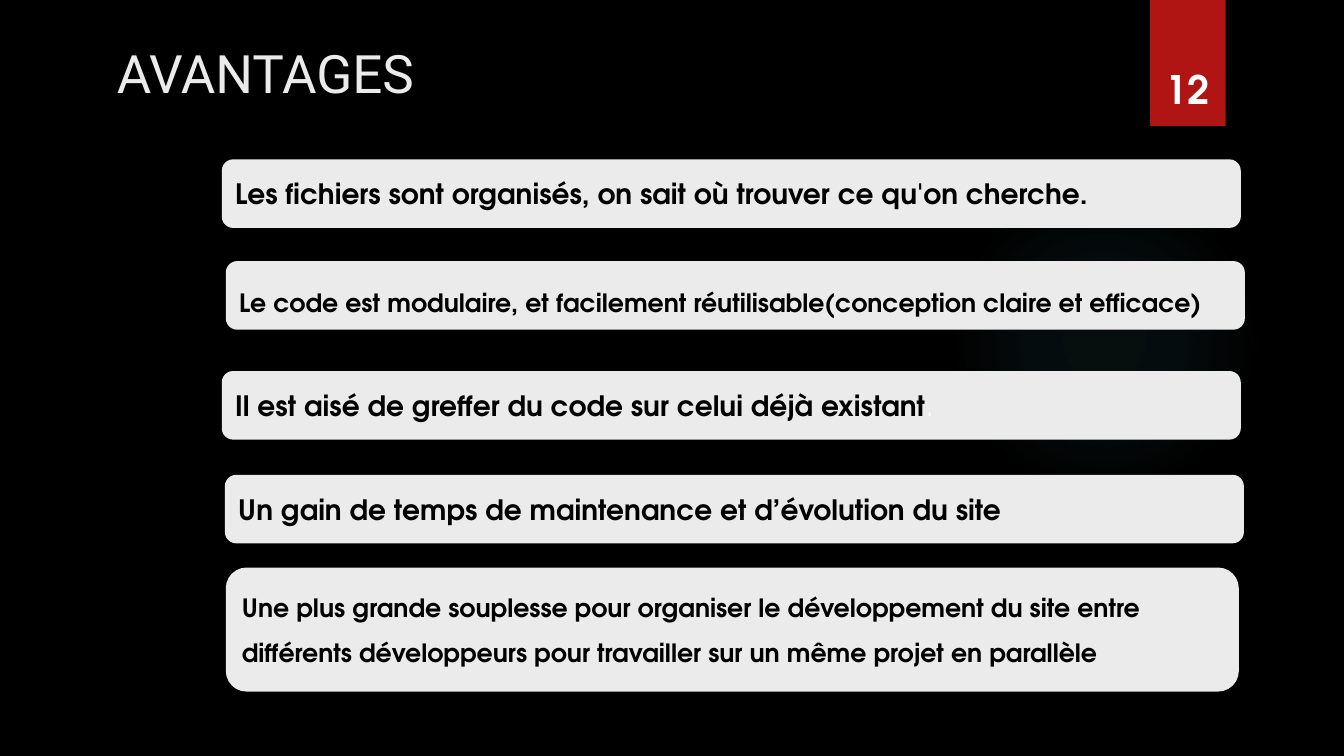
"""Build the slide that lists the advantages of organised code."""
from dataclasses import dataclass

from lxml import etree
from pptx import Presentation
from pptx.dml.color import RGBColor
from pptx.enum.shapes import MSO_SHAPE
from pptx.enum.text import MSO_ANCHOR, MSO_AUTO_SIZE, PP_ALIGN
from pptx.oxml.ns import nsdecls
from pptx.shapes.autoshape import Shape
from pptx.slide import Slide
from pptx.text.text import TextFrame
from pptx.util import Pt

RECT, ROUND, OVAL = MSO_SHAPE.RECTANGLE, MSO_SHAPE.ROUNDED_RECTANGLE, MSO_SHAPE.OVAL
TOP, MIDDLE, BOTTOM = MSO_ANCHOR.TOP, MSO_ANCHOR.MIDDLE, MSO_ANCHOR.BOTTOM
LEFT, CENTER = PP_ALIGN.LEFT, PP_ALIGN.CENTER
FIXED = MSO_AUTO_SIZE.NONE


@dataclass(frozen=True)
class Theme:
    """Colours, fonts and type sizes."""
    back: str = "000000"
    card: str = "EBEBEB"
    ink: str = "000000"
    white: str = "FFFFFF"
    red: str = "B01513"
    glow: str = "50B9C1"
    head: str = "Roboto"
    body: str = "TeX Gyre Adventor"
    title: float = 37.8
    number: float = 28
    large: float = 20
    small: float = 18


THEME = Theme()


@dataclass(frozen=True)
class Area:
    """A frame in points."""
    left: float
    top: float
    width: float
    height: float


@dataclass(frozen=True)
class Run:
    """A piece of text with its format."""
    text: str
    size: float
    color: str = THEME.ink
    bold: bool = True
    face: str = THEME.body


@dataclass(frozen=True)
class Card:
    """A rounded box with lines of text."""
    area: Area
    lines: tuple[tuple[Run, ...], ...]
    drop: float = 0


WIDE, LOW = 727.9, 49
LEAD = 10.7
CARDS = (
    Card(Area(158.4, 113.8, WIDE, LOW), (
        (Run("Les fichiers sont organisés, on sait où trouver ce qu'on cherche.",
             THEME.large),),)),
    Card(Area(161.3, 186.5, WIDE, LOW), (
        (Run("Le code est modulaire, et facilement réutilisable"
             "(conception claire et efficace)", THEME.small),),), LEAD),
    Card(Area(158.4, 265, WIDE, LOW), (
        (Run("Il est aisé de greffer du code sur celui déjà existant", THEME.large),
         Run(".", THEME.large, THEME.white, False)),)),
    Card(Area(160.6, 339.1, WIDE, LOW), (
        (Run("Un gain de temps de maintenance et d’évolution du site",
             THEME.large),),)),
    Card(Area(161.3, 405.4, 723.6, 88.6), (
        (Run("Une plus grande souplesse pour organiser le développement du site entre",
             THEME.small),),
        (Run("différents développeurs pour travailler sur un même projet en parallèle",
             THEME.small),))),
)


def apply(item: object, values: dict[str, object]) -> None:
    """Set each named attribute of an item."""
    for name, value in values.items():
        setattr(item, name, value)


def place(area: Area) -> tuple[Pt, Pt, Pt, Pt]:
    """Turn an area into slide lengths."""
    return Pt(area.left), Pt(area.top), Pt(area.width), Pt(area.height)


def draw(slide: Slide, kind: MSO_SHAPE, area: Area, color: str) -> Shape:
    """Add a plain filled shape."""
    shape = slide.shapes.add_shape(kind, *place(area))
    shape.shadow.inherit = False
    shape.fill.solid()
    shape.fill.fore_color.rgb = RGBColor.from_string(color)
    shape.line.fill.background()
    return shape


def write(frame: TextFrame, lines: tuple[tuple[Run, ...], ...], anchor: MSO_ANCHOR,
          align: PP_ALIGN = LEFT, drop: float = 0) -> None:
    """Fill a text frame with formatted lines."""
    apply(frame, {"word_wrap": True, "auto_size": FIXED, "vertical_anchor": anchor,
                  "margin_left": Pt(7.2), "margin_right": Pt(7.2),
                  "margin_top": Pt(3.6 + drop), "margin_bottom": Pt(3.6)})
    for index, line in enumerate(lines):
        para = frame.add_paragraph() if index else frame.paragraphs[0]
        apply(para, {"alignment": align, "line_spacing": 1.0})
        if index:
            para.space_before = Pt(LEAD)
        for part in line:
            run = para.add_run()
            run.text = part.text
            apply(run.font, {"name": part.face, "size": Pt(part.size),
                             "bold": part.bold})
            run.font.color.rgb = RGBColor.from_string(part.color)


def shine(slide: Slide, area: Area) -> None:
    """Add the faint round glow."""
    shape = draw(slide, OVAL, area, THEME.glow)
    stops = "".join(
        f'<a:gs pos="{pos * 1000}"><a:srgbClr val="{THEME.glow}">'
        f'<a:alpha val="{alpha * 1000}"/></a:srgbClr></a:gs>'
        for pos, alpha in ((0, 7), (36, 6), (69, 0)))
    fill = etree.fromstring(
        f'<a:gradFill {nsdecls("a")} rotWithShape="1"><a:gsLst>{stops}</a:gsLst>'
        '<a:path path="circle"><a:fillToRect l="50000" t="50000" r="50000" '
        'b="50000"/></a:path></a:gradFill>')
    props = shape.element.spPr
    props.replace(props.find("{*}solidFill"), fill)


def main() -> None:
    """Create and save the slide."""
    deck = Presentation()
    apply(deck, {"slide_width": Pt(960), "slide_height": Pt(540)})
    slide = deck.slides.add_slide(deck.slide_layouts[5])
    slide.background.fill.solid()
    slide.background.fill.fore_color.rgb = RGBColor.from_string(THEME.back)

    shine(slide, Area(677.5, 131.8, 221.8, 221.8))
    draw(slide, RECT, Area(821.5, 0, 54, 90), THEME.red)

    title = slide.shapes.title
    apply(title, dict(zip(("left", "top", "width", "height"),
                          place(Area(76.3, 25.2, 730.1, 65.5)))))
    write(title.text_frame,
          ((Run("AVANTAGES", THEME.title, THEME.card, False, THEME.head),),), TOP)

    number = slide.shapes.add_textbox(*place(Area(815, 23, 66.2, 60.5)))
    write(number.text_frame, ((Run("12", THEME.number, THEME.white),),),
          BOTTOM, CENTER)

    for card in CARDS:
        box = draw(slide, ROUND, card.area, THEME.card)
        write(box.text_frame, card.lines, MIDDLE, drop=card.drop)

    deck.save("out.pptx")


if __name__ == "__main__":
    main()
